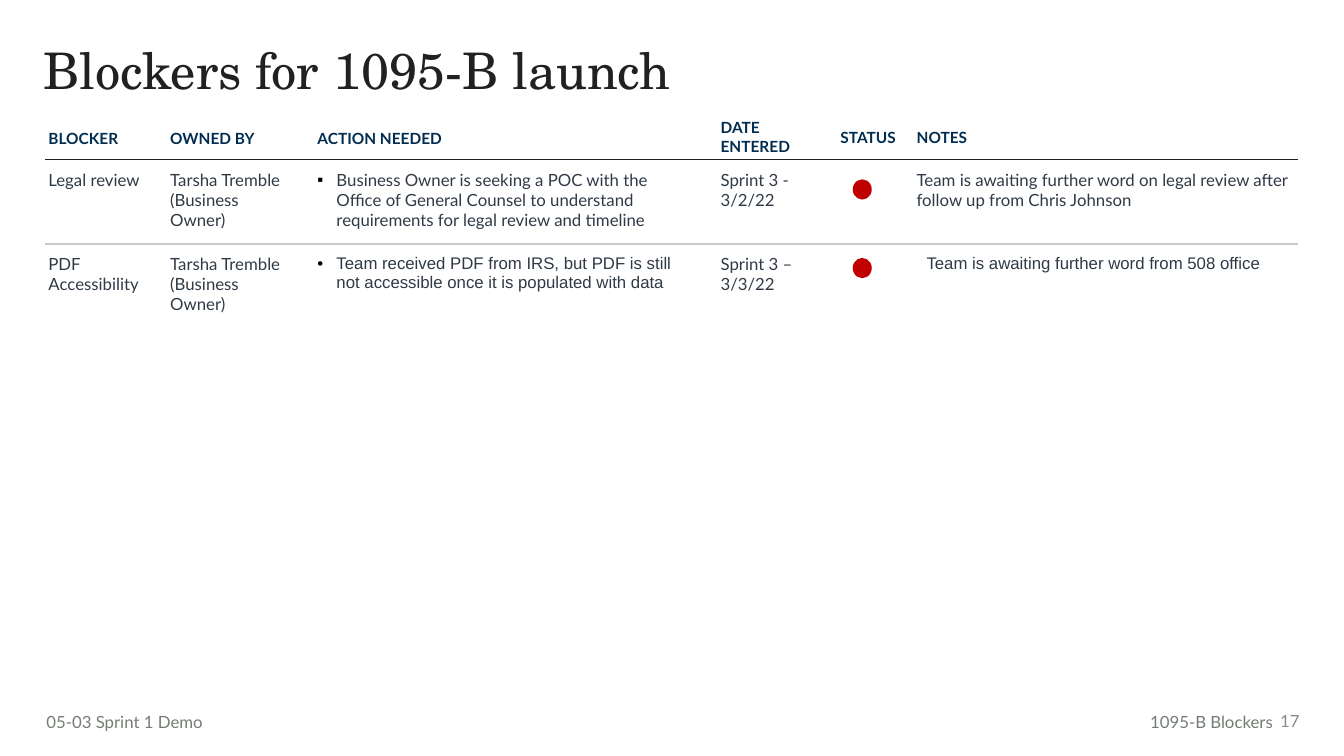
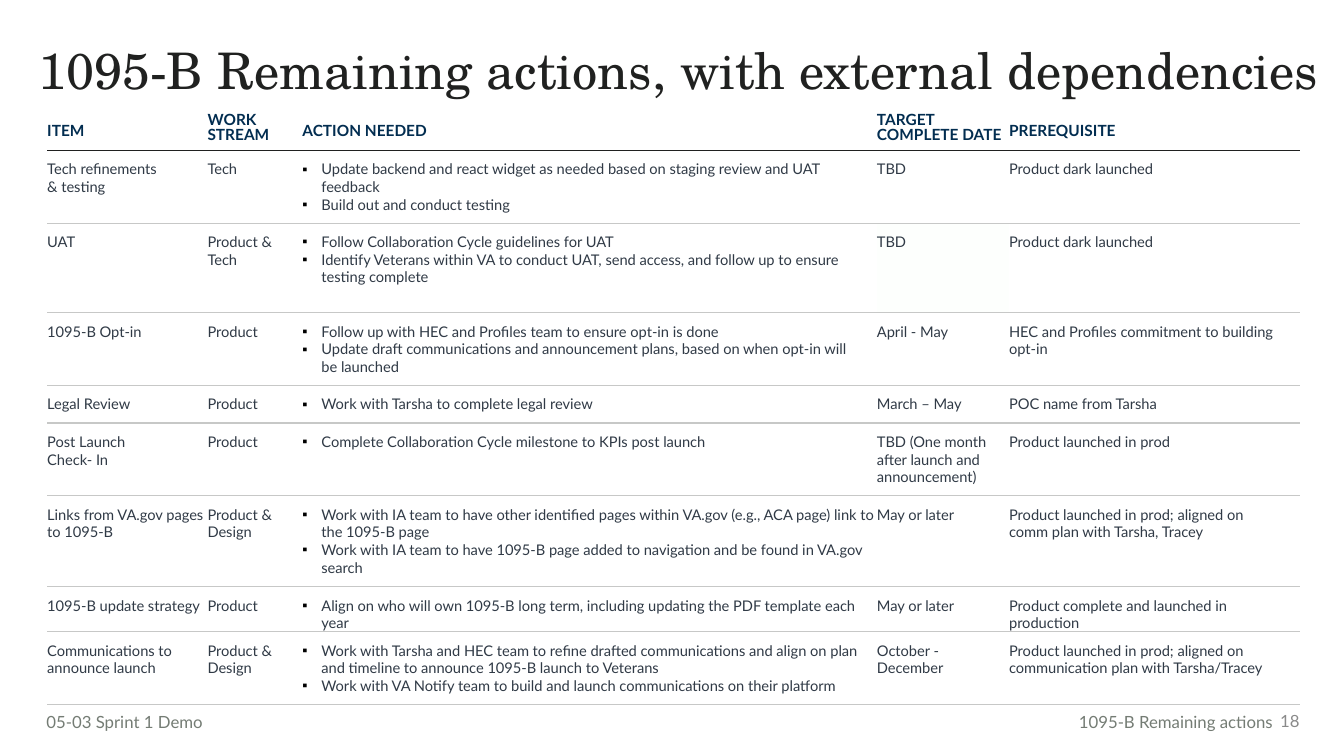
from dataclasses import dataclass

from lxml.etree import SubElement
from pptx import Presentation
from pptx.dml.color import RGBColor
from pptx.enum.shapes import MSO_SHAPE
from pptx.enum.text import MSO_ANCHOR, MSO_AUTO_SIZE, PP_ALIGN
from pptx.oxml.ns import qn
from pptx.util import Cm, Pt

INK, NAVY, SLATE, RULE = "202120", "022D50", "303A46", "C7C8C7"
FOOTER, NUMBER, RED, MINT = "747C74", "8A8A8A", "C00000", "FDFFFD"
HEADING_FONT, BODY_FONT, PLAIN_FONT = "TeX Gyre Schola", "Lato", "Arial"
NO_GRID = "{2D5ABB26-0587-4C30-8999-92F81FD0307C}"
HAIR, GAP, WIDE = 0.08, 0.25, 0.51
ACTION = 2


@dataclass
class Column:
    """A table column with its heading and side margins in centimetres."""
    heading: str
    width: float
    spacing: float = 1.15
    left: float = 0
    right: float = WIDE


@dataclass
class Entry:
    """The content of a body cell that departs from the usual style."""
    text: str
    font: str = BODY_FONT
    bullet: str = "▪"
    indent: float = 0
    fill: str = ""


@dataclass
class Row:
    """A body row; tight names the columns without a right margin."""
    height: float
    cells: list
    tight: tuple = ()
    bottom: float = GAP


def color(value):
    """Turn a hex string into a colour."""
    return RGBColor.from_string(value)


def draw_rule(cell, side, value, points=1):
    """Draw one border of a cell; side is T or B."""
    line = SubElement(cell._tc.get_or_add_tcPr(), qn(f"a:ln{side}"), w=str(Pt(points)))
    fill = SubElement(line, qn("a:solidFill"))
    SubElement(fill, qn("a:srgbClr"), val=value)


def add_bullet(para, mark):
    """Give a paragraph a black bullet and a hanging indent."""
    props = para._p.get_or_add_pPr()
    props.set("marL", str(Cm(0.48)))
    props.set("indent", str(-Cm(0.48)))
    SubElement(SubElement(props, qn("a:buClr")), qn("a:srgbClr"), val="000000")
    SubElement(props, qn("a:buFont"), typeface=PLAIN_FONT)
    SubElement(props, qn("a:buChar"), char=mark)


def set_margins(target, left, top, right, bottom):
    """Set the inner margins of a cell or text frame."""
    target.margin_left, target.margin_top = Cm(left), Cm(top)
    target.margin_right, target.margin_bottom = Cm(right), Cm(bottom)


class Report:
    """Holds the deck, its style and the current page."""

    def __init__(self):
        """Start an empty widescreen deck."""
        self.deck = Presentation()
        self.deck.slide_width, self.deck.slide_height = Cm(33.87), Cm(19.05)
        self.page = None

    def add_text(self, frame, text, size, value, font=BODY_FONT, bold=False,
                 spacing=None, align=PP_ALIGN.LEFT, bullet="", indent=0):
        """Fill a text frame, one paragraph per line of text."""
        for index, line in enumerate(text.split("\n")):
            para = frame.add_paragraph() if index else frame.paragraphs[0]
            para.alignment = align
            if spacing:
                para.line_spacing = spacing
            if bullet:
                add_bullet(para, bullet)
            elif indent:
                para._p.get_or_add_pPr().set("marL", str(Cm(indent)))
            span = para.add_run()
            span.text = line
            span.font.size, span.font.name, span.font.bold = Pt(size), font, bold
            span.font.color.rgb = color(value)

    def start(self, title, left, width, label, number):
        """Add a page with its title and footer."""
        self.page = self.deck.slides.add_slide(self.deck.slide_layouts[5])
        box = self.page.shapes.title
        box.left, box.top, box.width, box.height = Cm(left), Cm(1.04), Cm(width), Cm(1.7)
        frame = box.text_frame
        frame.word_wrap, frame.auto_size = True, MSO_AUTO_SIZE.NONE
        frame.vertical_anchor = MSO_ANCHOR.TOP
        set_margins(frame, 0.25, 0.13, 0.25, 0.13)
        self.add_text(frame, title, 36, INK, HEADING_FONT, spacing=0.9)
        self.note("05-03 Sprint 1 Demo", 1.17, 17.81, 7.57, 0.76, inset=0)
        self.note(label, 24.71, 17.81, 7.62, 0.76, align=PP_ALIGN.RIGHT)
        self.note(number, 31.88, 17.65, 1.12, 1.02, NUMBER, PP_ALIGN.RIGHT)

    def note(self, text, left, top, width, height, value=FOOTER,
             align=PP_ALIGN.LEFT, inset=0.25):
        """Add a line of footer text."""
        box = self.page.shapes.add_textbox(Cm(left), Cm(top), Cm(width), Cm(height))
        frame = box.text_frame
        frame.word_wrap, frame.vertical_anchor = True, MSO_ANCHOR.MIDDLE
        set_margins(frame, inset, 0.13, 0.25, 0.13)
        self.add_text(frame, text, 12, value, align=align)

    def dot(self, left, top):
        """Add a red status dot."""
        shape = self.page.shapes.add_shape(
            MSO_SHAPE.OVAL, Cm(left), Cm(top), Cm(0.48), Cm(0.51))
        shape.shadow.inherit = False
        shape.fill.solid()
        shape.fill.fore_color.rgb = color(RED)
        shape.line.fill.background()

    def table(self, left, top, columns, head, rows, size, head_rule, head_bottom, closed):
        """Add a ruled table; closed draws the rule below the last row."""
        width = sum(column.width for column in columns)
        height = head + sum(row.height for row in rows)
        grid = self.page.shapes.add_table(
            len(rows) + 1, len(columns), Cm(left), Cm(top), Cm(width), Cm(height)).table
        grid.first_row = grid.horz_banding = False
        grid._tbl.tblPr.find(qn("a:tableStyleId")).text = NO_GRID
        grid.rows[0].height = Cm(head)
        for index, column in enumerate(columns):
            grid.columns[index].width = Cm(column.width)
            cell = grid.cell(0, index)
            cell.vertical_anchor = MSO_ANCHOR.MIDDLE
            set_margins(cell, column.left, HAIR, HAIR, head_bottom)
            draw_rule(cell, "B", INK, head_rule)
            cell.fill.background()
            self.add_text(cell.text_frame, column.heading, 11, NAVY, bold=True,
                          spacing=column.spacing)
        for line, row in enumerate(rows, 1):
            grid.rows[line].height = Cm(row.height)
            for index, content in enumerate(row.cells):
                entry = content if isinstance(content, Entry) else Entry(content)
                column, cell = columns[index], grid.cell(line, index)
                right = 0 if index in row.tight else column.right
                set_margins(cell, column.left, GAP, right, row.bottom)
                if line == 1:
                    draw_rule(cell, "T", INK, head_rule)
                else:
                    draw_rule(cell, "T", RULE)
                if closed or line < len(rows):
                    draw_rule(cell, "B", RULE)
                if entry.fill:
                    cell.fill.solid()
                    cell.fill.fore_color.rgb = color(entry.fill)
                else:
                    cell.fill.background()
                if entry.text:
                    self.add_text(cell.text_frame, entry.text, size, SLATE, entry.font,
                                  bullet=entry.bullet if index == ACTION else "",
                                  indent=entry.indent)


def add_blockers(report):
    """Build the page of launch blockers."""
    report.start("Blockers for 1095-B launch", 0.84, 22.38, "1095-B Blockers", "17")
    columns = [
        Column("BLOCKER", 3.07, left=HAIR),
        Column("OWNED BY", 3.71, left=HAIR),
        Column("ACTION NEEDED", 10.16, left=HAIR),
        Column("DATE\nENTERED", 3.02, 1, HAIR, HAIR),
        Column("STATUS", 1.75, 1, HAIR, HAIR),
        Column("NOTES", 9.86, 1, GAP, HAIR),
    ]
    owner = "Tarsha Tremble (Business Owner)"
    rows = [
        Row(2.13, [
            "Legal review", owner,
            "Business Owner is seeking a POC with the Office of General Counsel "
            "to understand requirements for legal review and timeline",
            "Sprint 3 -\n3/2/22", "",
            "Team is awaiting further word on legal review after follow up from Chris Johnson"]),
        Row(1.53, [
            "PDF Accessibility", owner,
            Entry("Team received PDF from IRS, but PDF is still not accessible "
                  "once it is populated with data", PLAIN_FONT, "•"),
            "Sprint 3 – 3/3/22", "",
            Entry("Team is awaiting further word from 508 office", PLAIN_FONT, indent=0.25)]),
    ]
    report.table(1.14, 2.9, columns, 1.12, rows, 12, 1, HAIR, False)
    for top in (4.52, 6.5):
        report.dot(21.49, top)


def add_remaining_actions(report):
    """Build the page of remaining actions."""
    report.start("1095-B Remaining actions, with external dependencies",
                 0.71, 33.1, "1095-B Remaining actions", "18")
    columns = [
        Column("ITEM", 4.04),
        Column("WORK STREAM", 2.39, 0.8),
        Column("ACTION NEEDED", 14.48),
        Column("TARGET\nCOMPLETE DATE", 3.33, 0.8),
        Column("PREREQUISITE", 7.32),
    ]
    rows = [
        Row(1.83, [
            "Tech refinements\n& testing", "Tech",
            "Update backend and react widget as needed based on staging review "
            "and UAT feedback\nBuild out and conduct testing",
            "TBD", "Product dark launched"]),
        Row(2.26, [
            "UAT", "Product & Tech",
            "Follow Collaboration Cycle guidelines for UAT\n"
            "Identify Veterans within VA to conduct UAT, send access, "
            "and follow up to ensure testing complete",
            Entry("TBD", fill=MINT), "Product dark launched"]),
        Row(1.8, [
            "1095-B Opt-in", "Product",
            "Follow up with HEC and Profiles team to ensure opt-in is done\n"
            "Update draft communications and announcement plans, "
            "based on when opt-in will be launched",
            "April - May", "HEC and Profiles commitment to building opt-in"]),
        Row(0.94, [
            "Legal Review", "Product", "Work with Tarsha to complete legal review",
            "March – May", "POC name from Tarsha"]),
        Row(1.8, [
            "Post Launch\nCheck- In", "Product",
            "Complete Collaboration Cycle milestone to KPIs post launch",
            "TBD (One month after launch and announcement)", "Product launched in prod"]),
        Row(2.29, [
            "Links from VA.gov pages to 1095-B", "Product & Design",
            "Work with IA team to have other identified pages within VA.gov "
            "(e.g., ACA page) link to the 1095-B page\n"
            "Work with IA team to have 1095-B page added to navigation "
            "and be found in VA.gov search",
            "May or later",
            "Product launched in prod; aligned on comm plan with Tarsha, Tracey"],
            tight=(0, 2)),
        Row(1.12, [
            "1095-B update strategy", "Product",
            "Align on who will own 1095-B long term, "
            "including updating the PDF template each year",
            "May or later", "Product complete and launched in production"],
            tight=(0, 2, 4), bottom=0),
        Row(1.8, [
            "Communications to announce launch", "Product & Design",
            "Work with Tarsha and HEC team to refine drafted communications "
            "and align on plan and timeline to announce 1095-B launch to Veterans\n"
            "Work with VA Notify team to build and launch communications on their platform",
            "October - December",
            "Product launched in prod; aligned on communication plan with Tarsha/Tracey"],
            tight=(0, 2, 4)),
    ]
    report.table(1.19, 2.62, columns, 1.17, rows, 10.5, 0.75, 0, True)


def main():
    """Build and save the deck."""
    report = Report()
    add_blockers(report)
    add_remaining_actions(report)
    report.deck.save("out.pptx")


if __name__ == "__main__":
    main()
